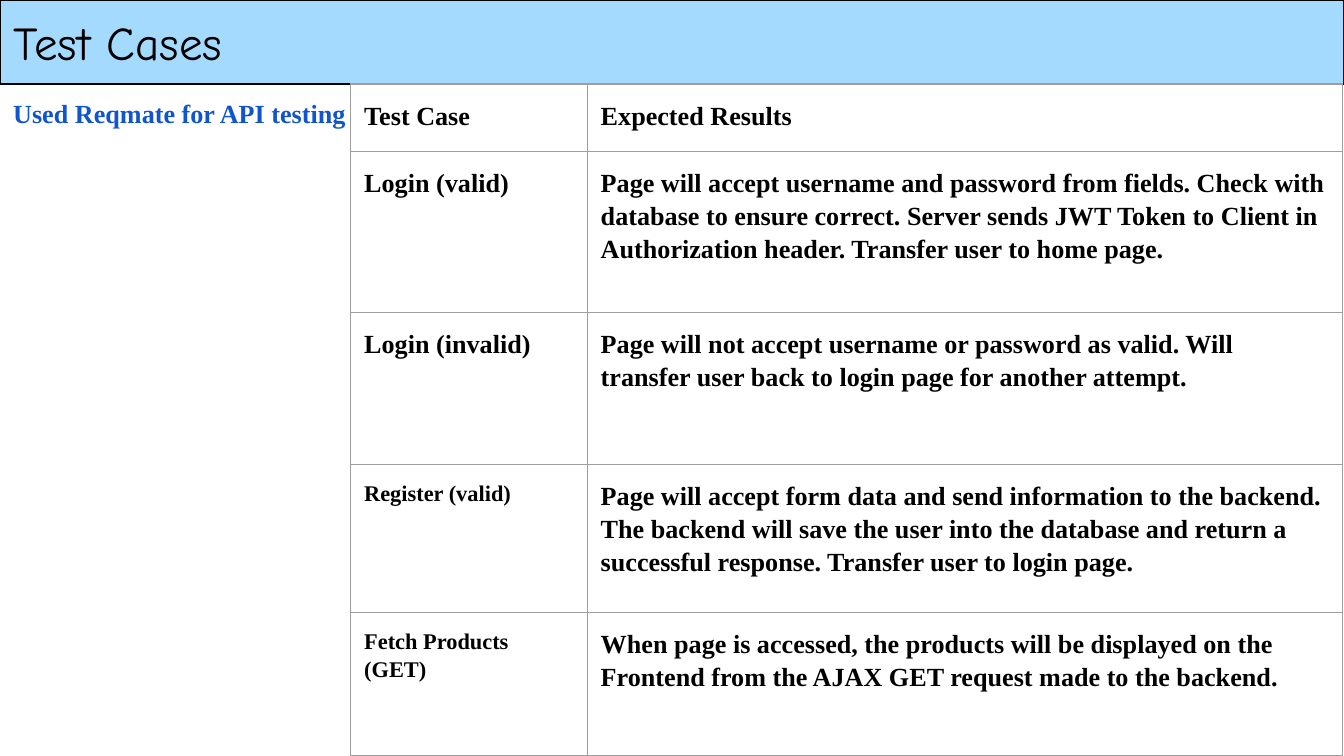
from dataclasses import dataclass

import lxml.etree
import pptx
import pptx.dml.color
import pptx.enum.text
import pptx.oxml.ns
import pptx.util

Inches = pptx.util.Inches


@dataclass(frozen=True)
class Theme:
    banner: str = "A5DAFF"
    ink: str = "000000"
    accent: str = "1155CC"
    grid: str = "9E9E9E"
    title_font: str = "Comic Neue"
    body_font: str = "Times New Roman"
    title_size: float = 25.2
    body_size: float = 14
    small_size: float = 12
    line_width: float = 0.75
    line_spacing: float = 1.15
    inset: float = 0.1


@dataclass(frozen=True)
class TestCase:
    name: str
    expected: str
    height: float
    name_size: float


THEME = Theme()
SLIDE_WIDTH = Inches(10)
SLIDE_HEIGHT = SLIDE_WIDTH * 9 // 16
BANNER_HEIGHT = SLIDE_HEIGHT - Inches(5)
TABLE_LEFT = 2.61
COLUMN_WIDTHS = (1.76, 5.62)

ROWS = (
    TestCase("Test Case", "Expected Results", 0.5, THEME.body_size),
    TestCase(
        "Login (valid)",
        "Page will accept username and password from fields. Check with database "
        "to ensure correct. Server sends JWT Token to Client in Authorization "
        "header. Transfer user to home page.",
        1.2, THEME.body_size),
    TestCase(
        "Login (invalid)",
        "Page will not accept username or password as valid. Will transfer user "
        "back to login page for another attempt.",
        1.13, THEME.body_size),
    TestCase(
        "Register (valid)",
        "Page will accept form data and send information to the backend. The "
        "backend will save the user into the database and return a successful "
        "response. Transfer user to login page.",
        1.1, THEME.small_size),
    TestCase(
        "Fetch Products (GET)",
        "When page is accessed, the products will be displayed on the Frontend "
        "from the AJAX GET request made to the backend.",
        1.07, THEME.small_size),
)


def rgb(color: str) -> pptx.dml.color.RGBColor:
    return pptx.dml.color.RGBColor.from_string(color)


def set_margins(target) -> None:
    """Apply the common inset to a text frame or a table cell."""
    for side in ("left", "right", "top", "bottom"):
        setattr(target, f"margin_{side}", Inches(THEME.inset))


def write_text(text_frame, text: str, font: str, size: float, color: str,
               bold: bool = False) -> None:
    text_frame.text = text
    text_frame.word_wrap = True
    paragraph = text_frame.paragraphs[0]
    paragraph.alignment = pptx.enum.text.PP_ALIGN.LEFT
    for run in paragraph.runs:
        run.font.name = font
        run.font.size = pptx.util.Pt(size)
        run.font.bold = bold
        run.font.color.rgb = rgb(color)


def add_borders(cell) -> None:
    properties = cell._tc.get_or_add_tcPr()
    qn = pptx.oxml.ns.qn
    for position, side in enumerate(("lnL", "lnR", "lnT", "lnB")):
        line = lxml.etree.Element(
            qn(f"a:{side}"), w=str(pptx.util.Pt(THEME.line_width)))
        fill = lxml.etree.SubElement(line, qn("a:solidFill"))
        lxml.etree.SubElement(fill, qn("a:srgbClr"), val=THEME.grid)
        properties.insert(position, line)


def format_title(slide) -> None:
    title = slide.shapes.title
    title.left, title.top = 0, 0
    title.width, title.height = SLIDE_WIDTH, BANNER_HEIGHT
    title.fill.solid()
    title.fill.fore_color.rgb = rgb(THEME.banner)
    title.line.color.rgb = rgb(THEME.ink)
    title.line.width = pptx.util.Pt(THEME.line_width)
    text_frame = title.text_frame
    set_margins(text_frame)
    text_frame.auto_size = pptx.enum.text.MSO_AUTO_SIZE.NONE
    text_frame.vertical_anchor = pptx.enum.text.MSO_ANCHOR.MIDDLE
    write_text(text_frame, "Test Cases", THEME.title_font,
               THEME.title_size, THEME.ink)


def add_note(slide, text: str) -> None:
    box = slide.shapes.add_textbox(
        0, BANNER_HEIGHT, Inches(7.14), Inches(0.44))
    set_margins(box.text_frame)
    box.text_frame.auto_size = pptx.enum.text.MSO_AUTO_SIZE.SHAPE_TO_FIT_TEXT
    write_text(box.text_frame, text, THEME.body_font, THEME.body_size,
               THEME.accent, bold=True)


def add_cases(slide, rows: tuple[TestCase, ...]) -> None:
    frame = slide.shapes.add_table(
        len(rows), len(COLUMN_WIDTHS), Inches(TABLE_LEFT), BANNER_HEIGHT,
        Inches(sum(COLUMN_WIDTHS)), Inches(sum(row.height for row in rows)))
    table = frame.table
    table.first_row = table.horz_banding = False
    for column, width in zip(table.columns, COLUMN_WIDTHS):
        column.width = Inches(width)
    for index, row in enumerate(rows):
        table.rows[index].height = Inches(row.height)
        contents = ((row.name, row.name_size), (row.expected, THEME.body_size))
        for column_index, (text, size) in enumerate(contents):
            cell = table.cell(index, column_index)
            set_margins(cell)
            cell.fill.background()
            add_borders(cell)
            write_text(cell.text_frame, text, THEME.body_font, size,
                       THEME.ink, bold=True)
            cell.text_frame.paragraphs[0].line_spacing = THEME.line_spacing


def main() -> None:
    presentation = pptx.Presentation()
    presentation.slide_width = SLIDE_WIDTH
    presentation.slide_height = SLIDE_HEIGHT
    slide = presentation.slides.add_slide(presentation.slide_layouts[5])

    # Title banner
    format_title(slide)
    # Testing tool note
    add_note(slide, "Used Reqmate for API testing")
    # Test case table
    add_cases(slide, ROWS)

    presentation.save("out.pptx")


if __name__ == "__main__":
    main()
